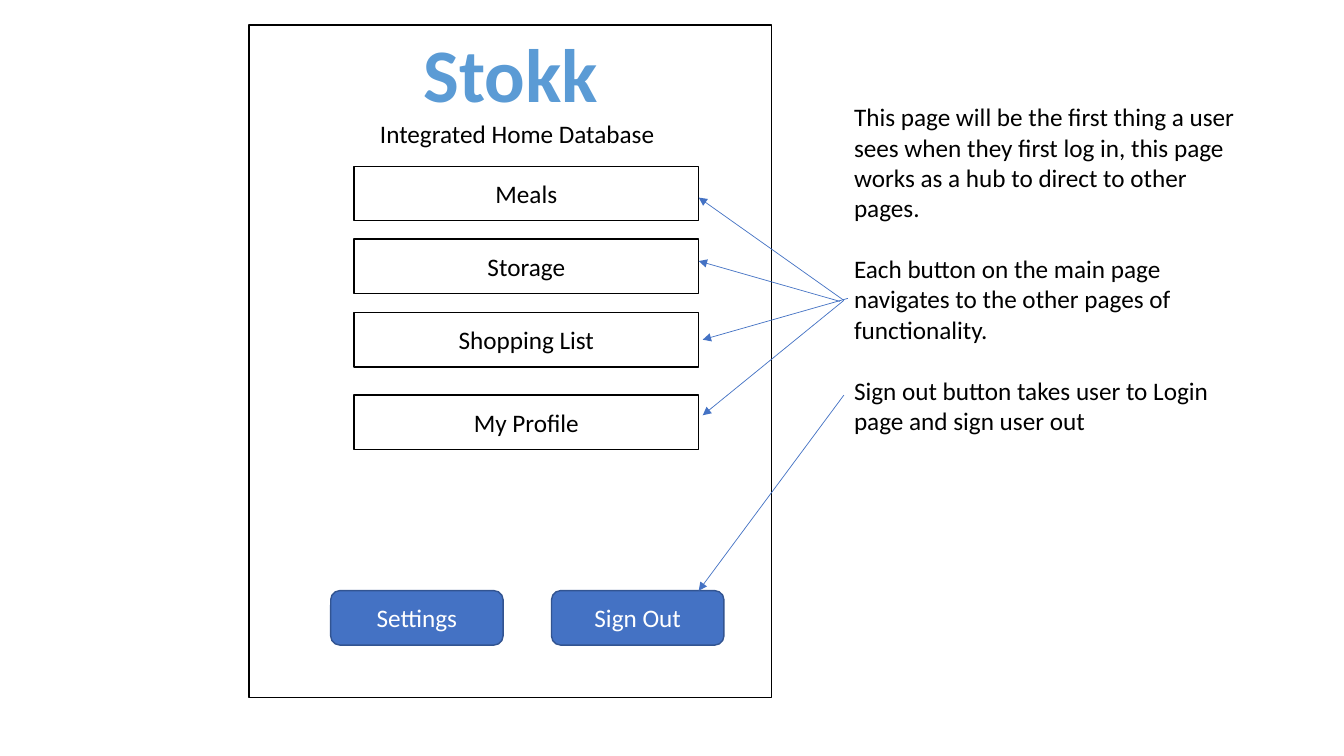
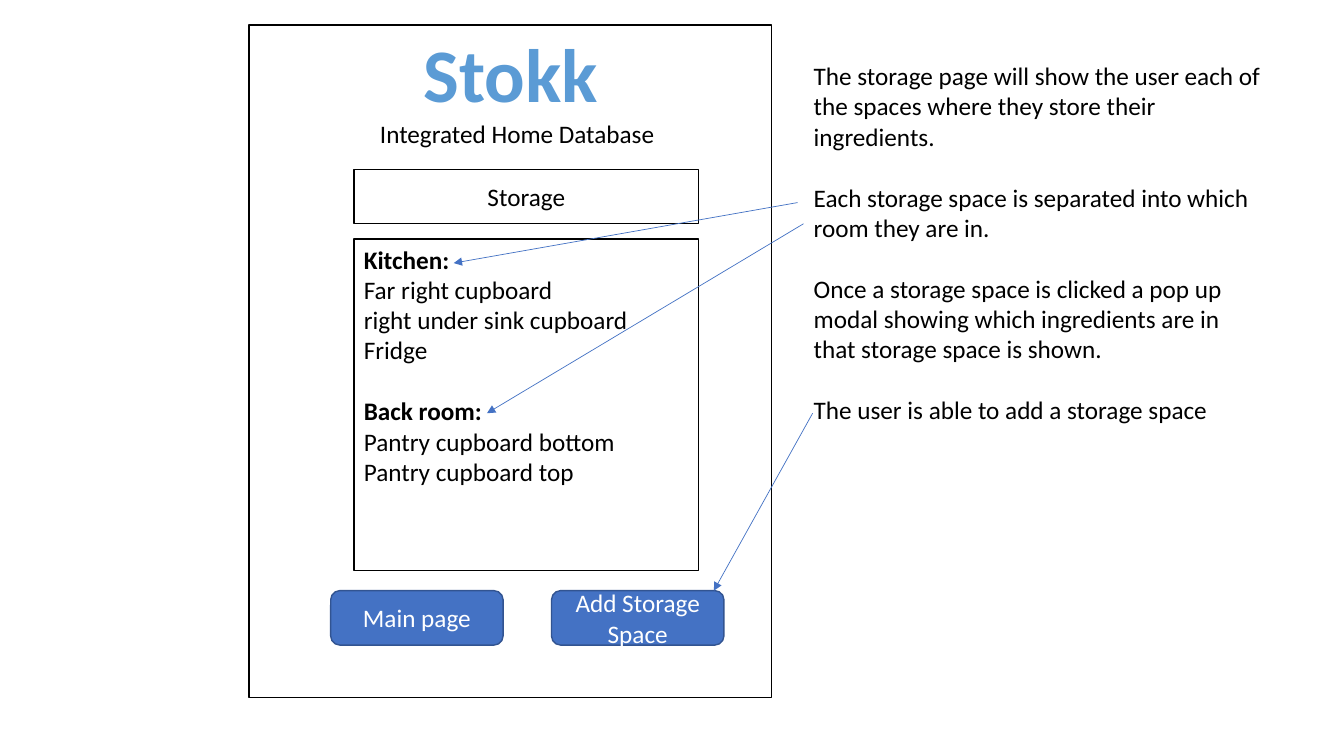
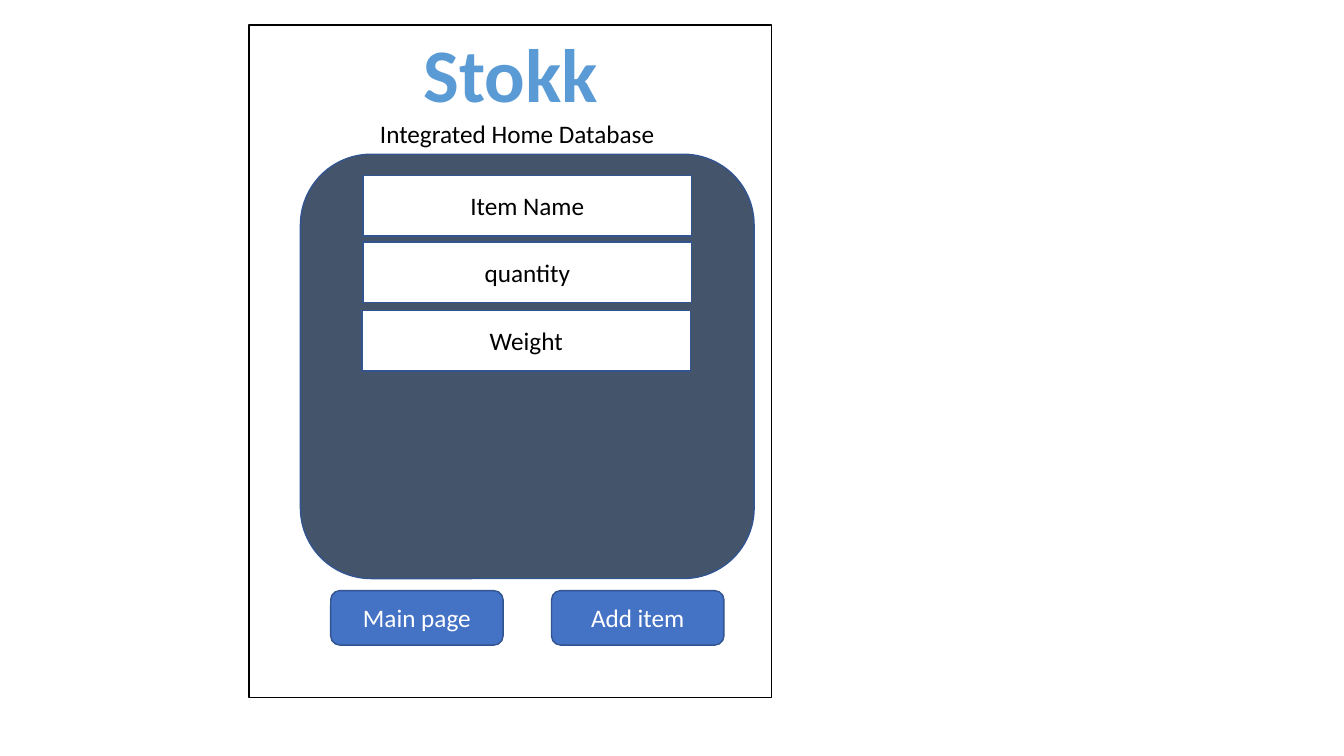
"""Builds three annotated wireframe slides for the Stokk home database."""
from lxml import etree
from pptx import Presentation
from pptx import util as u
from pptx.dml.color import RGBColor
from pptx.enum import shapes, text
from pptx.oxml.ns import qn


class Theme:
    font = "Calibri"
    black = RGBColor(0x00, 0x00, 0x00)
    white = RGBColor(0xFF, 0xFF, 0xFF)
    brand = RGBColor(0x5B, 0x9B, 0xD5)
    accent = RGBColor(0x44, 0x72, 0xC4)
    edge = RGBColor(0x32, 0x54, 0x91)
    slate = RGBColor(0x44, 0x54, 0x6A)
    title_size = u.Pt(54)
    text_size = u.Pt(18)
    blank_line = u.Pt(22)


RECT = shapes.MSO_SHAPE.RECTANGLE
ROUND = shapes.MSO_SHAPE.ROUNDED_RECTANGLE
CENTER, LEFT = text.PP_ALIGN.CENTER, text.PP_ALIGN.LEFT


def write(holder, lines, colour=Theme.black, align=LEFT, size=Theme.text_size, bold=(), gaps=()):
    """Fill a shape with lines; bold and gaps hold the indexes of bold and spaced lines."""
    frame = holder.text_frame
    frame.text = "\n".join(lines)
    for index, paragraph in enumerate(frame.paragraphs):
        paragraph.alignment = align
        paragraph.space_before = Theme.blank_line if index in gaps else u.Pt(0)
        paragraph.font.name = Theme.font
        paragraph.font.size = size
        paragraph.font.bold = index in bold
        paragraph.font.color.rgb = colour


def box(slide, kind, at, fill, edge, label="", colour=Theme.black):
    """Draw an outlined shape with a centred label."""
    outline = slide.shapes.add_shape(kind, *map(u.Inches, at))
    outline.shadow.inherit = False
    outline.fill.solid()
    outline.fill.fore_color.rgb = fill
    outline.line.color.rgb = edge
    outline.line.width = u.Pt(1)
    if label:
        write(outline, [label], colour, CENTER)
    return outline


screens = [
    {
        "buttons": ["Settings", "Sign Out"],
        "fields": [("Meals", 1.65), ("Storage", 2.37), ("Shopping List", 3.1), ("My Profile", 3.92)],
        "notes_at": (8.37, 0.96, 4.19, 4.04),
        "notes": [
            "This page will be the first thing a user sees when they first log in, "
            "this page works as a hub to direct to other pages.",
            "Each button on the main page navigates to the other pages of functionality.",
            "Sign out button takes user to Login page and sign user out",
        ],
        "arrows": [
            (8.37, 3.92, 6.93, 5.86),
            (8.37, 2.98, 6.93, 1.96),
            (8.33, 2.99, 6.93, 2.59),
            (8.41, 2.96, 6.97, 3.37),
            (8.37, 2.98, 6.97, 4.12),
        ],
    },
    {
        "buttons": ["Main page", "Add Storage Space"],
        "fields": [("Storage", 1.68)],
        "rooms": [
            "Kitchen:", "Far right cupboard", "right under sink cupboard", "Fridge",
            "Back room:", "Pantry cupboard bottom", "Pantry cupboard top",
        ],
        "notes_at": (7.97, 0.55, 4.65, 3.74),
        "notes": [
            "The storage page will show the user each of the spaces where they store their ingredients.",
            "Each storage space is separated into which room they are in.",
            "Once a storage space is clicked a pop up modal showing which ingredients "
            "are in that storage space is shown.",
            "The user is able to add a storage space",
        ],
        "arrows": [
            (8.06, 4.1, 7.08, 5.86),
            (7.97, 2.22, 4.83, 4.1),
            (7.91, 2.01, 4.5, 2.61),
        ],
    },
    {
        "buttons": ["Main page", "Add item"],
        "inputs": [("Item Name", 3.6, 1.74), ("quantity", 3.6, 2.4), ("Weight", 3.59, 3.08)],
    },
]

deck = Presentation()
deck.slide_width, deck.slide_height = u.Inches(13.33), u.Inches(7.5)
title_and_content, title_only = deck.slide_layouts[1], deck.slide_layouts[5]

for screen in screens:
    slide = deck.slides.add_slide(title_and_content if "notes" in screen else title_only)

    brand = slide.shapes.title
    brand.left, brand.top, brand.width, brand.height = map(u.Inches, (4.09, 0.21, 1.95, 1.01))
    write(brand, ["Stokk"], Theme.brand, CENTER, Theme.title_size, bold=[0])
    brand.text_frame.word_wrap = False
    brand.text_frame.auto_size = text.MSO_AUTO_SIZE.NONE

    page = box(slide, RECT, (2.47, 0.25, 5.18, 6.67), Theme.white, Theme.black)
    brand.element.addprevious(page.element)

    tagline = slide.shapes.add_textbox(*map(u.Inches, (3.67, 1.12, 3.11, 0.4)))
    tagline.text_frame.word_wrap = True
    write(tagline, ["Integrated Home Database"])

    for column, label in enumerate(screen["buttons"]):
        at = (3.28 + 2.19 * column, 5.86, 1.71, 0.54)
        box(slide, ROUND, at, Theme.accent, Theme.edge, label, Theme.white)

    for label, top in screen.get("fields", []):
        box(slide, RECT, (3.51, top, 3.42, 0.54), Theme.white, Theme.black, label)

    if "rooms" in screen:
        rooms = box(slide, RECT, (3.51, 2.37, 3.42, 3.29), Theme.white, Theme.black)
        rooms.text_frame.vertical_anchor = text.MSO_ANCHOR.TOP
        write(rooms, screen["rooms"], bold=[0, 4], gaps=[4])

    if "inputs" in screen:
        box(slide, ROUND, (2.98, 1.53, 4.5, 4.21), Theme.slate, Theme.edge)
        for label, left, top in screen["inputs"]:
            box(slide, RECT, (left, top, 3.26, 0.6), Theme.white, Theme.edge, label)

    if "notes" in screen:
        notes = slide.placeholders[1]
        notes.left, notes.top, notes.width, notes.height = map(u.Inches, screen["notes_at"])
        notes.text_frame.auto_size = text.MSO_AUTO_SIZE.NONE
        write(notes, screen["notes"], gaps=range(1, len(screen["notes"])))
        for paragraph in notes.text_frame.paragraphs:
            properties = paragraph.font._element.getparent()
            properties.set("marL", "0")
            properties.set("indent", "0")
            bullet = etree.Element(qn("a:buNone"))
            properties.find(qn("a:defRPr")).addprevious(bullet)

    for ends in screen.get("arrows", []):
        arrow = slide.shapes.add_connector(shapes.MSO_CONNECTOR.STRAIGHT, *map(u.Inches, ends))
        arrow.line.color.rgb = Theme.accent
        arrow.line.width = u.Pt(0.5)
        etree.SubElement(arrow.line._get_or_add_ln(), qn("a:tailEnd"), type="triangle")
        etree.SubElement(arrow.element.spPr, qn("a:effectLst"))

deck.save("out.pptx")
